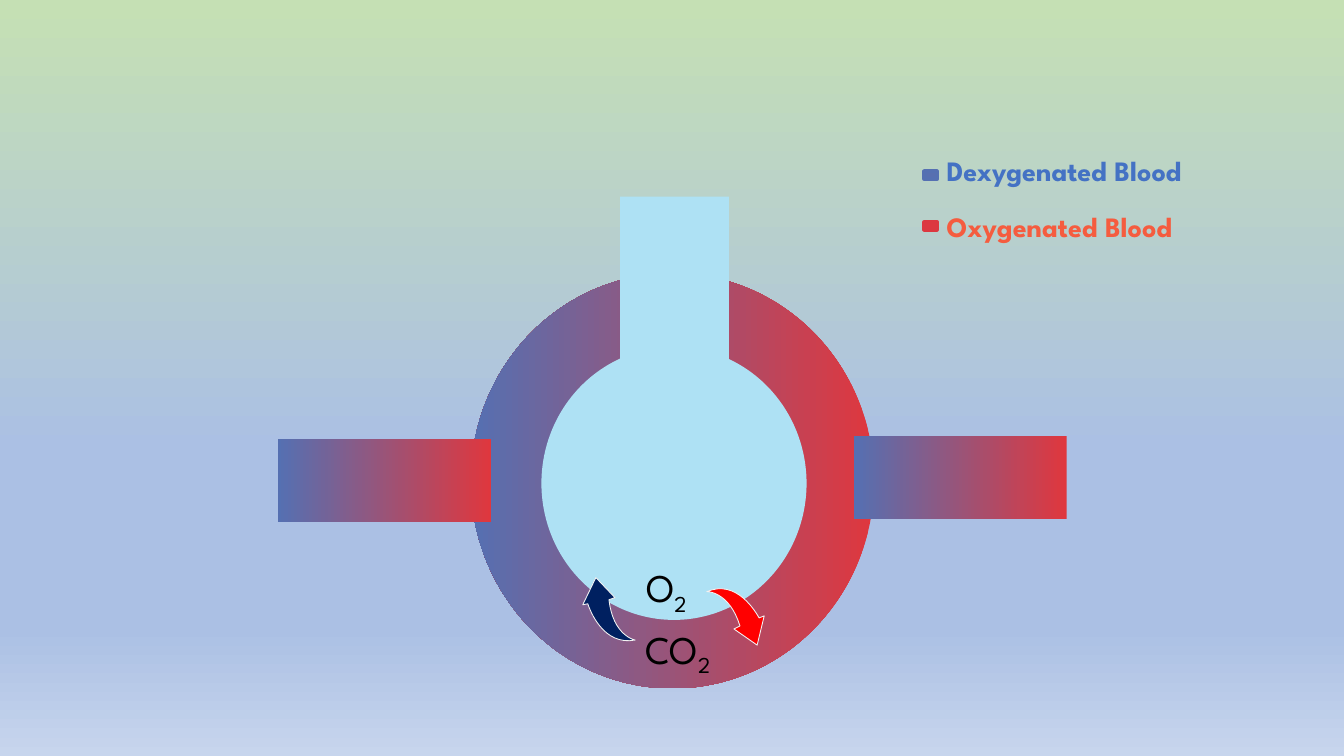
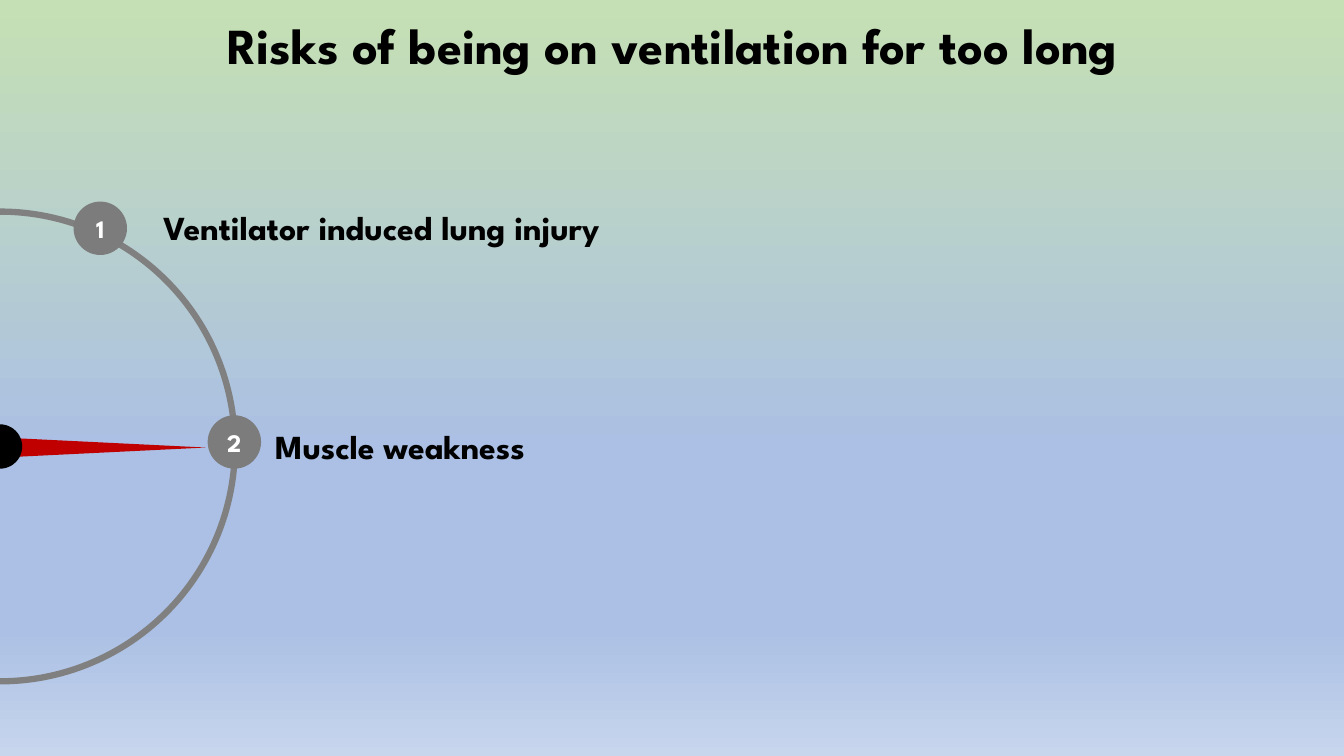
import copy

import pptx
import pptx.util
import pptx.dml.color
import pptx.enum.shapes
import pptx.enum.text
import pptx.oxml.ns

Inches = pptx.util.Inches
Pt = pptx.util.Pt
RGBColor = pptx.dml.color.RGBColor
MSO_SHAPE = pptx.enum.shapes.MSO_SHAPE
MSO_ANCHOR = pptx.enum.text.MSO_ANCHOR
PP_ALIGN = pptx.enum.text.PP_ALIGN

FONT = "League Spartan"
BLACK = RGBColor(0x00, 0x00, 0x00)
WHITE = RGBColor(0xFF, 0xFF, 0xFF)
GREEN = RGBColor(0xC5, 0xE0, 0xB4)
PERIWINKLE = RGBColor(0xAB, 0xC0, 0xE4)
PALE_BLUE = RGBColor(0xC7, 0xD5, 0xED)
BLOOD_RED = RGBColor(0xDF, 0x37, 0x3E)
BLOOD_BLUE = RGBColor(0x55, 0x70, 0xB2)
AIR = RGBColor(0xAE, 0xE1, 0xF4)
ARROW_RED = RGBColor(0xFF, 0x00, 0x00)
ARROW_NAVY = RGBColor(0x00, 0x20, 0x60)
ARROW_EDGE = RGBColor(0xF2, 0xF2, 0xF2)
KEY_BLUE = RGBColor(0x58, 0x6F, 0xB0)
KEY_RED = RGBColor(0xDD, 0x38, 0x40)
KEY_RED_EDGE = RGBColor(0xDC, 0x38, 0x40)
LABEL_BLUE = RGBColor(0x44, 0x72, 0xC4)
LABEL_RED = RGBColor(0xF5, 0x5C, 0x3F)
NEEDLE = RGBColor(0xC0, 0x00, 0x00)
DIAL = RGBColor(0x80, 0x80, 0x80)
BADGE = RGBColor(0x7C, 0x7C, 0x7C)

BACKGROUND = [(0, GREEN), (0.6, PERIWINKLE), (0.83, PERIWINKLE), (1, PALE_BLUE)]
BLOOD = [(0, BLOOD_RED), (1, BLOOD_BLUE)]


def set_gradient(owner, fill, stops, angle):
    fill.gradient()
    fill.gradient_angle = angle
    gs_list = next(owner.element.iter(pptx.oxml.ns.qn("a:gsLst")))
    while len(gs_list) < len(stops):
        gs_list.append(copy.deepcopy(gs_list[-1]))
    for stop, (position, color) in zip(fill.gradient_stops, stops):
        stop.position = position
        stop.color.rgb = color


def style_shape(sp, fill=None, line=None, width=0):
    sp.shadow.inherit = False
    if fill is None:
        sp.fill.background()
    elif isinstance(fill, list):
        set_gradient(sp, sp.fill, fill, 180)
    else:
        sp.fill.solid()
        sp.fill.fore_color.rgb = fill
    if line is None:
        sp.line.fill.background()
    else:
        sp.line.color.rgb = line
        sp.line.width = Pt(width)


def add_shape(s, kind, box, fill=None, line=None, width=0, adjust=(), rotation=0):
    sp = s.shapes.add_shape(kind, *map(Inches, box))
    style_shape(sp, fill, line, width)
    for i, value in enumerate(adjust):
        sp.adjustments[i] = value
    sp.rotation = rotation
    return sp


def add_run(p, text, size, color, bold=True, subscript=False):
    r = p.add_run()
    r.text = text
    r.font.name = FONT
    r.font.size = Pt(size)
    r.font.color.rgb = color
    r.font.bold = bold
    if subscript:
        r._r.get_or_add_rPr().set("baseline", "-25000")


def add_text_box(s, box, wrap=True):
    tf = s.shapes.add_textbox(*map(Inches, box)).text_frame
    tf.word_wrap = wrap
    return tf.paragraphs[0]


def add_label(s, box, text, size, color):
    add_run(add_text_box(s, box), text, size, color)


def add_formula(s, box, symbol):
    p = add_text_box(s, box, wrap=False)
    add_run(p, symbol, 28, BLACK, bold=False)
    add_run(p, "2", 28, BLACK, bold=False, subscript=True)


def bezier(points, steps=16):
    a, b, c, d = points
    for i in range(steps + 1):
        t = i / steps
        u = 1 - t
        yield tuple(
            u**3 * a[k] + 3 * u * u * t * b[k] + 3 * u * t * t * c[k] + t**3 * d[k]
            for k in (0, 1)
        )


def add_curved_arrow(s, outer, head, inner, fill):
    outline = [*bezier(outer), *head, *bezier(inner)]
    points = [(Inches(x), Inches(y)) for x, y in outline]
    builder = s.shapes.build_freeform(*points[0])
    builder.add_line_segments(points[1:], close=True)
    style_shape(builder.convert_to_shape(), fill, ARROW_EDGE, 0.63)


def add_key(s, y, text_y, text, fill, edge, color):
    add_shape(s, MSO_SHAPE.RECTANGLE, (9.17, y, 0.12, 0.08), fill, edge, 3)
    add_label(s, (9.29, text_y, 4.34, 0.44), text, 20, color)


def add_badge(s, x, y, number):
    sp = add_shape(s, MSO_SHAPE.OVAL, (x, y, 0.53, 0.53), BADGE)
    tf = sp.text_frame
    tf.vertical_anchor = MSO_ANCHOR.MIDDLE
    p = tf.paragraphs[0]
    p.alignment = PP_ALIGN.CENTER
    add_run(p, number, 18, WHITE)


def add_title(s, box, text):
    sp = s.shapes.title
    sp.left, sp.top, sp.width, sp.height = map(Inches, box)
    tf = sp.text_frame
    tf.word_wrap = True
    tf.vertical_anchor = MSO_ANCHOR.TOP
    p = tf.paragraphs[0]
    p.alignment = PP_ALIGN.CENTER
    p.line_spacing = 1.15
    add_run(p, text, 36, BLACK)


def build_gas_exchange(prs):
    s = prs.slides.add_slide(prs.slide_layouts[6])
    add_shape(s, MSO_SHAPE.DONUT, (4.67, 2.71, 4, 4.12), BLOOD, adjust=[0.182])
    for x, y in [(2.76, 4.36), (8.47, 4.33)]:
        add_shape(s, MSO_SHAPE.RECTANGLE, (x, y, 2.11, 0.82), BLOOD)
    add_shape(s, MSO_SHAPE.OVAL, (5.37, 3.44, 2.63, 2.71), AIR)
    add_shape(s, MSO_SHAPE.RECTANGLE, (6.15, 1.95, 1.08, 1.91), AIR)
    add_formula(s, (6.3, 6.15, 1.01, 0.57), "CO")
    add_formula(s, (6.31, 5.54, 0.83, 0.57), "O")
    add_curved_arrow(
        s,
        [(7.01, 5.87), (7.31, 5.74), (7.5, 6.08), (7.53, 6.13)],
        [(7.58, 6.11), (7.51, 6.4), (7.28, 6.24)],
        [(7.34, 6.21), (7.23, 5.86), (7.01, 5.87), (7.01, 5.87)],
        ARROW_RED,
    )
    add_curved_arrow(
        s,
        [(6.3, 6.35), (5.98, 6.41), (5.85, 6.05), (5.83, 5.99)],
        [(5.78, 6), (5.91, 5.73), (6.1, 5.93)],
        [(6.04, 5.95), (6.08, 6.31), (6.3, 6.35), (6.3, 6.35)],
        ARROW_NAVY,
    )
    add_key(s, 1.7, 1.47, "Dexygenated Blood", KEY_BLUE, BLOOD_BLUE, LABEL_BLUE)
    add_key(s, 2.2, 2.03, "Oxygenated Blood", KEY_RED, KEY_RED_EDGE, LABEL_RED)


def build_risks(prs):
    s = prs.slides.add_slide(prs.slide_layouts[5])
    add_title(s, (1.76, 0, 9.82, 0.8), "Risks of being on ventilation for too long")
    add_shape(s, MSO_SHAPE.ISOSCELES_TRIANGLE, (0.92, 3.42, 0.2, 2.04), NEEDLE, rotation=90)
    add_shape(s, MSO_SHAPE.OVAL, (-0.22, 4.21, 0.44, 0.44), BLACK)
    add_shape(s, MSO_SHAPE.ARC, (-2.33, 2.1, 4.66, 4.66), line=DIAL, width=4.5,
              adjust=[155.25, 56.16])
    risks = [
        ((0.73, 2), (1.52, 2), "Ventilator induced lung injury"),
        ((2.06, 4.12), (2.63, 4.18), "Muscle weakness"),
    ]
    for number, (badge, label, text) in enumerate(risks, 1):
        add_badge(s, *badge, str(number))
        add_label(s, (*label, 5.15, 0.5), text, 24, BLACK)


def main():
    prs = pptx.Presentation()
    prs.slide_width = Inches(13.33)
    prs.slide_height = Inches(7.5)
    master = prs.slide_master
    set_gradient(master, master.background.fill, BACKGROUND, 270)
    build_gas_exchange(prs)
    build_risks(prs)
    prs.save("out.pptx")


if __name__ == "__main__":
    main()
